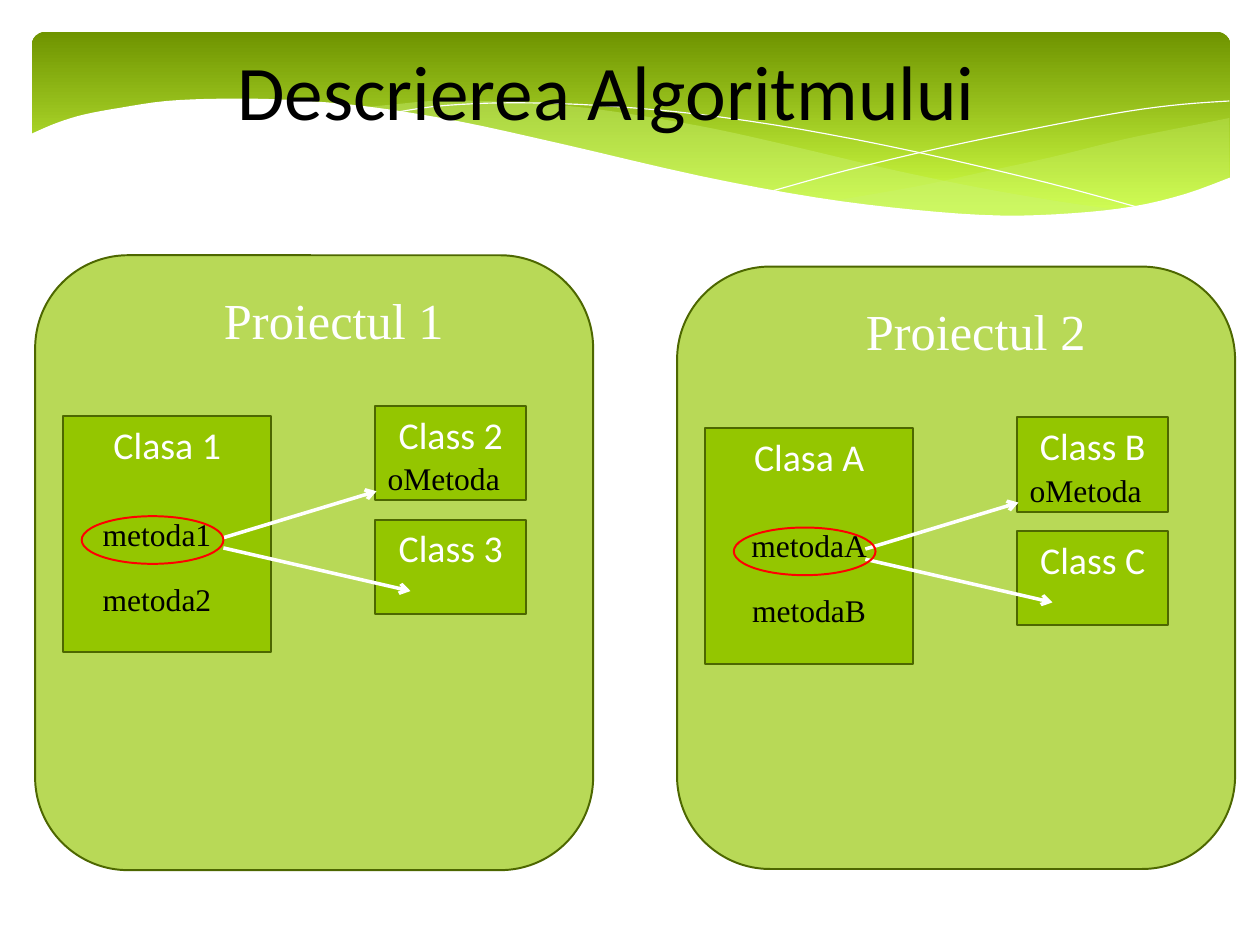
from dataclasses import dataclass

from lxml import etree
from pptx import Presentation
from pptx.dml.color import RGBColor
from pptx.enum.shapes import MSO_CONNECTOR, MSO_SHAPE
from pptx.enum.text import MSO_ANCHOR, PP_ALIGN
from pptx.oxml.ns import qn
from pptx.util import Pt

RECTANGLE, ROUNDED, OVAL = MSO_SHAPE.RECTANGLE, MSO_SHAPE.ROUNDED_RECTANGLE, MSO_SHAPE.OVAL
STRAIGHT = MSO_CONNECTOR.STRAIGHT
LEFT, CENTER, TOP = PP_ALIGN.LEFT, PP_ALIGN.CENTER, MSO_ANCHOR.TOP


@dataclass(frozen=True)
class Theme:
    green: str = "94C600"
    outline: str = "4D6700"
    banner_dark: str = "6F9400"
    banner_light: str = "D0FF44"
    wave: str = "CAF278"
    white: str = "FFFFFF"
    black: str = "000000"
    red: str = "FF0000"
    sans: str = "Calibri"
    serif: str = "Times New Roman"
    title_size: int = 49
    project_size: int = 32
    class_size: int = 24
    method_size: int = 20
    outline_width: float = 1.25
    arrow_width: float = 2.25


THEME = Theme()
PX = 9144  # 100 px to the inch
WIDTH, HEIGHT = 1111, 833

# Content: lengths in px
TITLE = "Descrierea Algoritmului"
PROJECTS = [
    {"name": "Proiectul 1", "origin": (31, 225), "height": 542,
     "main": "Clasa 1", "methods": ["metoda1", "metoda2"], "called": "oMetoda",
     "others": ["Class 2", "Class 3"], "methods_left": 16, "ring_left": 41},
    {"name": "Proiectul 2", "origin": (597, 235), "height": 531,
     "main": "Clasa A", "methods": ["metodaA", "metodaB"], "called": "oMetoda",
     "others": ["Class B", "Class C"], "methods_left": 25, "ring_left": 50},
]
ARROWS = [((166, 249), (301, 208)), ((166, 258), (331, 296))]

# Each wave is a list of curves, each curve a list of points it runs through
RIGHT_WAVE = [
    [(1084, 104), (1039, 113), (990, 123), (925, 139), (865, 152), (810, 164), (735, 177)],
    [(735, 177), (798, 185), (854, 190), (904, 191), (949, 189), (997, 183), (1039, 173),
     (1084, 157)],
]
LONG_WAVE = [
    [(992, 186), (930, 177), (861, 165), (784, 149), (699, 129), (632, 114), (571, 103),
     (516, 95), (467, 91), (422, 89), (382, 89), (348, 92), (318, 95)],
    [(318, 95), (380, 104), (449, 117), (545, 140), (629, 159), (705, 173), (772, 183),
     (832, 189), (885, 192), (931, 192), (963, 189), (992, 186)],
]
FALLING_LINE = [[(344, 100), (382, 94), (430, 91), (481, 91), (543, 94), (618, 101),
                 (706, 114), (808, 134), (923, 161), (1008, 184)]]
RISING_LINE = [[(682, 168), (747, 150), (831, 130), (929, 110), (995, 98), (1042, 92),
                (1084, 89)]]
WHITE_WAVE = [
    [(1086, 156), (1045, 171), (999, 182), (945, 188), (882, 190), (807, 185), (719, 174),
     (617, 155), (496, 127), (405, 107), (325, 94), (255, 88), (196, 87), (147, 89),
     (106, 95), (74, 101), (51, 108), (32, 116), (26, 119)],
    [(26, 248), (1086, 248)],
]


def smooth(points, steps=4):
    """Catmull-Rom curve through the points."""
    padded = [points[0], *points, points[-1]]
    curve = [points[0]]
    for a, b, c, d in zip(padded, padded[1:], padded[2:], padded[3:]):
        for step in range(1, steps + 1):
            t = step / steps
            curve.append(tuple(
                0.5 * (2 * q + (r - p) * t + (2 * p - 5 * q + 4 * r - s) * t ** 2
                       + (3 * q - p - 3 * r + s) * t ** 3)
                for p, q, r, s in zip(a, b, c, d)))
    return curve


def style(shape, fill=None, alpha=100, line=None, width=THEME.outline_width):
    shape.shadow.inherit = False
    if fill:
        shape.fill.solid()
        shape.fill.fore_color.rgb = RGBColor.from_string(fill)
        if alpha < 100:
            color = shape.element.spPr.find(f"{qn('a:solidFill')}/{qn('a:srgbClr')}")
            etree.SubElement(color, qn("a:alpha")).set("val", str(alpha * 1000))
    else:
        shape.fill.background()
    if line:
        shape.line.color.rgb = RGBColor.from_string(line)
        shape.line.width = Pt(width)
    else:
        shape.line.fill.background()


def add_box(slide, kind, box, **look):
    shape = slide.shapes.add_shape(kind, *(value * PX for value in box))
    style(shape, **look)
    return shape


def add_wave(slide, curves, closed=True, **look):
    points = [(x * PX, y * PX) for curve in curves for x, y in smooth(curve)]
    builder = slide.shapes.build_freeform(*points[0])
    builder.add_line_segments(points[1:], close=closed)
    style(builder.convert_to_shape(), **look)


def add_text(slide, text, box, size, shape=None, font=THEME.serif, color=THEME.black,
             align=CENTER):
    """Write text into the given shape, or into a new text box."""
    shape = shape or slide.shapes.add_textbox(*(value * PX for value in box))
    frame = shape.text_frame
    frame.word_wrap = True
    frame.vertical_anchor = TOP
    paragraph = frame.paragraphs[0]
    paragraph.alignment = align
    run = paragraph.add_run()
    run.text = text
    run.font.name, run.font.size = font, Pt(size)
    run.font.color.rgb = RGBColor.from_string(color)


def add_arrow(slide, start, end):
    arrow = slide.shapes.add_connector(STRAIGHT, *(value * PX for value in (*start, *end)))
    arrow.line.color.rgb = RGBColor.from_string(THEME.white)
    arrow.line.width = Pt(THEME.arrow_width)
    properties = arrow.element.spPr
    etree.SubElement(properties.find(qn("a:ln")), qn("a:tailEnd")).set("type", "arrow")
    etree.SubElement(properties, qn("a:effectLst"))


def add_banner(slide):
    banner = add_box(slide, ROUNDED, (28, 28, 1057, 173))
    banner.adjustments[0] = 0.07
    banner.fill.gradient()
    banner.fill.gradient_angle = 270
    stops = zip(banner.fill.gradient_stops, (0, 0.9), (THEME.banner_dark, THEME.banner_light))
    for stop, position, color in stops:
        stop.position = position
        stop.color.rgb = RGBColor.from_string(color)
    add_wave(slide, RIGHT_WAVE, fill=THEME.wave, alpha=29)
    add_wave(slide, LONG_WAVE, fill=THEME.wave, alpha=40)
    for curve in (FALLING_LINE, RISING_LINE):
        add_wave(slide, curve, closed=False, line=THEME.white, width=0)
    add_wave(slide, WHITE_WAVE, fill=THEME.white)


def add_class(slide, name, box):
    shape = add_box(slide, RECTANGLE, box, fill=THEME.green, line=THEME.outline)
    add_text(slide, name, box, THEME.class_size, shape=shape, font=THEME.sans,
             color=THEME.white)


def add_project(slide, project):
    left, top = project["origin"]
    add_box(slide, ROUNDED, (left, top, 492, project["height"]),
            fill=THEME.green, alpha=66, line=THEME.outline)
    add_text(slide, project["name"], (left + 103, top + 25, 321, 64),
             THEME.project_size, color=THEME.white)
    # Calling class and its methods
    add_class(slide, project["main"], (left + 25, top + 142, 183, 208))
    for row, method in enumerate(project["methods"]):
        add_text(slide, method, (left + project["methods_left"], top + 224 + 57 * row, 183, 44),
                 THEME.method_size)
    # Called classes
    for row, name in enumerate(project["others"]):
        add_class(slide, name, (left + 300, top + 133 + 100 * row, 133, 83))
    add_text(slide, project["called"], (left + 301, top + 175, 140, 44),
             THEME.method_size, align=LEFT)
    # Calls
    for start, end in ARROWS:
        add_arrow(slide, (left + start[0], top + start[1]), (left + end[0], top + end[1]))
    add_box(slide, OVAL, (left + project["ring_left"], top + 230, 125, 42), line=THEME.red)


def main():
    presentation = Presentation()
    presentation.slide_width, presentation.slide_height = WIDTH * PX, HEIGHT * PX
    slide = presentation.slides.add_slide(presentation.slide_layouts[6])
    add_banner(slide)
    for project in PROJECTS:
        add_project(slide, project)
    add_text(slide, TITLE, (72, 33, 925, 125), THEME.title_size, font=THEME.sans)
    presentation.save("out.pptx")


if __name__ == "__main__":
    main()
